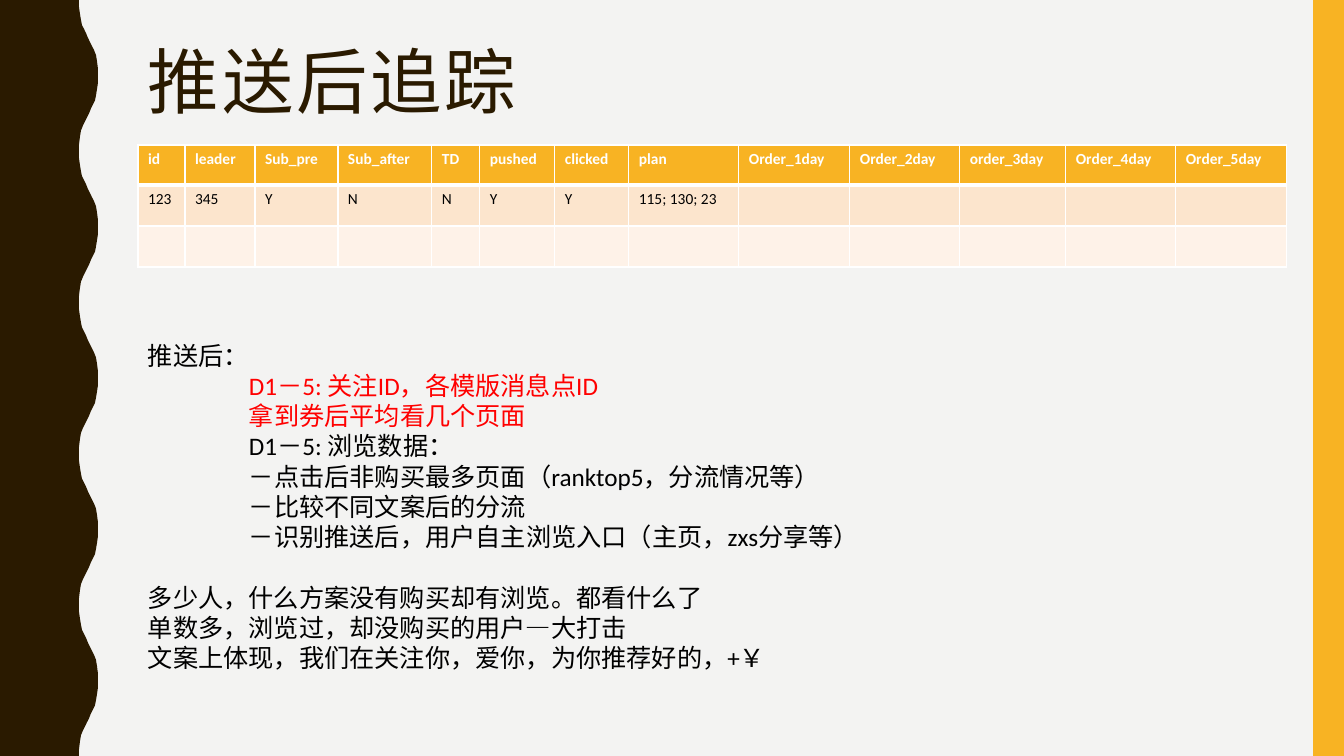
from lxml import etree
from pptx import Presentation
from pptx.dml.color import RGBColor
from pptx.enum.shapes import MSO_SHAPE
from pptx.enum.text import MSO_ANCHOR
from pptx.oxml.ns import qn
from pptx.util import Pt

RECTANGLE = MSO_SHAPE.RECTANGLE
TOP = MSO_ANCHOR.TOP
SCALE = 12192000 / 1344
WIDTH, HEIGHT = 1344, 756
COLORS = {
    "background": "F3F3F2", "brown": "2A1A00", "amber": "F8B323",
    "peach": "FCE5CD", "cream": "FEF2E8", "white": "FFFFFF",
    "black": "000000", "red": "FF0000",
}
HALF_WAVE = [
    (79, 0), (79, 7), (80, 14), (81, 20), (82, 25), (84, 29), (86, 33),
    (88, 38), (90, 42), (92, 46), (94, 50), (96, 55), (97, 61), (98, 69),
]
HALF_WAVE_COUNT = 10
COLUMN_WIDTHS = [47, 70, 83, 94, 48, 75, 74, 110, 111, 110, 106, 110, 111]
ROW_HEIGHTS = [40, 41, 41]
TRACKING_ROWS = [
    ["id", "leader", "Sub_pre", "Sub_after", "TD", "pushed", "clicked", "plan",
     "Order_1day", "Order_2day", "order_3day", "Order_4day", "Order_5day"],
    ["123", "345", "Y", "N", "N", "Y", "Y", "115; 130; 23"],
    [],
]
ROW_STYLES = [("amber", "white", 3), ("peach", "black", 1), ("cream", "black", 1)]
NOTES = [
    ("推送后：", False, "black", 0),
    ("D1－5: 关注ID，各模版消息点ID", True, "red", 0),
    ("拿到券后平均看几个页面", True, "red", 0),
    ("D1－5: 浏览数据：", True, "black", 0),
    ("－点击后非购买最多页面（ranktop5，分流情况等）", True, "black", 0),
    ("－比较不同文案后的分流", True, "black", 0),
    ("－识别推送后，用户自主浏览入口（主页，zxs分享等）", True, "black", 0),
    ("多少人，什么方案没有购买却有浏览。都看什么了", False, "black", 21.6),
    ("单数多，浏览过，却没购买的用户—大打击", False, "black", 0),
    ("文案上体现，我们在关注你，爱你，为你推荐好的，+￥", False, "black", 0),
]


def px(length):
    """Turn pixels into EMU."""
    return round(length * SCALE)


def color(name):
    """Look up a named colour."""
    return RGBColor.from_string(COLORS[name])


def paint(shape, name):
    """Give a shape a plain fill without line or shadow."""
    shape.shadow.inherit = False
    shape.fill.solid()
    shape.fill.fore_color.rgb = color(name)
    shape.line.fill.background()


def format_runs(paragraph, font_name, size, color_name, bold=False):
    """Format every run of a paragraph."""
    for run in paragraph.runs:
        run.font.name = font_name
        run.font.size = Pt(size)
        run.font.bold = bold
        run.font.color.rgb = color(color_name)


def add_text_frame(slide, box):
    """Add a wrapping, top-anchored text box and return its frame."""
    text_frame = slide.shapes.add_textbox(*map(px, box)).text_frame
    text_frame.word_wrap = True
    text_frame.vertical_anchor = TOP
    return text_frame


def add_wavy_band(slide, box):
    """Draw the left band whose right edge is a repeating wave."""
    left, top, width, height = box
    low, high = HALF_WAVE[0][0], HALF_WAVE[-1][0]
    points = []
    for index in range(HALF_WAVE_COUNT):
        start = top + index * height / HALF_WAVE_COUNT
        for x, y in HALF_WAVE:
            edge = low + high - x if index % 2 else x
            points.append((px(left + edge * width / high), px(start + y)))
    points += [(px(left + low * width / high), px(top + height)),
               (px(left), px(top + height))]
    builder = slide.shapes.build_freeform(px(left), px(top), scale=1.0)
    builder.add_line_segments(points, close=True)
    paint(builder.convert_to_shape(), "brown")


def add_side_bar(slide, box):
    """Draw the plain bar at the right edge."""
    paint(slide.shapes.add_shape(RECTANGLE, *map(px, box)), "amber")


def add_title(slide, box):
    """Write the slide title."""
    paragraph = add_text_frame(slide, box).paragraphs[0]
    paragraph.text = "推送后追踪"
    paragraph.line_spacing = 0.9
    format_runs(paragraph, "Arial Narrow", 51, "brown")
    for run in paragraph.runs:
        run.font._element.set("spc", "200")


def set_borders(cell, bottom_width):
    """Draw white borders around a cell."""
    properties = cell._tc.get_or_add_tcPr()
    for side, width in (("L", 1), ("R", 1), ("T", 1), ("B", bottom_width)):
        line = etree.SubElement(properties, qn(f"a:ln{side}"), w=str(Pt(width)))
        fill = etree.SubElement(line, qn("a:solidFill"))
        etree.SubElement(fill, qn("a:srgbClr"), val=COLORS["white"])


def add_tracking_table(slide, box):
    """Build the table of pushed users and their daily orders."""
    frame = slide.shapes.add_table(len(ROW_HEIGHTS), len(COLUMN_WIDTHS), *map(px, box))
    table = frame.table
    for column, width in zip(table.columns, COLUMN_WIDTHS):
        column.width = px(width)
    for index, row in enumerate(table.rows):
        row.height = px(ROW_HEIGHTS[index])
        fill_name, text_name, bottom_width = ROW_STYLES[index]
        for cell in row.cells:
            set_borders(cell, bottom_width)
            cell.fill.solid()
            cell.fill.fore_color.rgb = color(fill_name)
        for cell, text in zip(row.cells, TRACKING_ROWS[index]):
            cell.text_frame.text = text
            format_runs(cell.text_frame.paragraphs[0], "Calibri", 11, text_name, index == 0)


def add_notes(slide, box):
    """Write the follow-up points below the table."""
    text_frame = add_text_frame(slide, box)
    for index, (text, indented, color_name, gap) in enumerate(NOTES):
        paragraph = text_frame.add_paragraph() if index else text_frame.paragraphs[0]
        paragraph.text = text
        paragraph.space_before = Pt(gap)
        if indented:
            paragraph._p.get_or_add_pPr().set("marL", str(px(101)))
        format_runs(paragraph, "Calibri", 18, color_name)


def build_tracking_slide(presentation):
    """Place all regions of the tracking slide."""
    slide = presentation.slides.add_slide(presentation.slide_layouts[6])
    slide.background.fill.solid()
    slide.background.fill.fore_color.rgb = color("background")
    add_wavy_band(slide, (0, 0, 98, HEIGHT))
    add_side_bar(slide, (1313, 0, WIDTH - 1313, HEIGHT))
    add_title(slide, (138, 42, 1122, 164))
    add_tracking_table(slide, (138, 145, sum(COLUMN_WIDTHS), sum(ROW_HEIGHTS)))
    add_notes(slide, (138, 335, 1173, 377))


presentation = Presentation()
presentation.slide_width = px(WIDTH)
presentation.slide_height = px(HEIGHT)
build_tracking_slide(presentation)
presentation.save("out.pptx")
